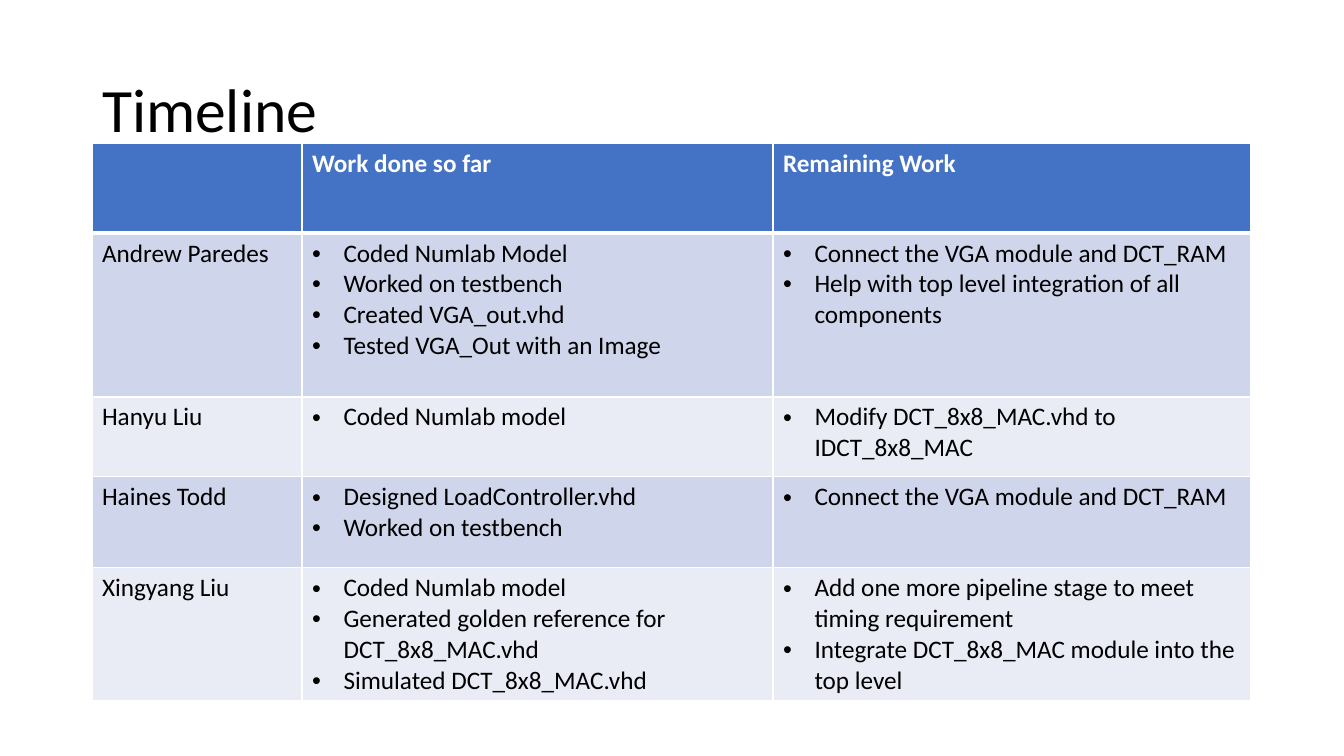
from lxml.etree import SubElement
from pptx import Presentation
from pptx.dml.color import RGBColor
from pptx.enum.text import MSO_ANCHOR, MSO_AUTO_SIZE, PP_ALIGN
from pptx.oxml.ns import qn
from pptx.util import Emu, Pt

PX = 914400 / 100.8
FONT = "Calibri"
COLORS = {
    "header": "4472C4",
    "odd_row": "CFD5EA",
    "even_row": "E9EBF5",
    "white": "FFFFFF",
    "black": "000000",
}
COLUMN_WIDTHS = [210, 471, 478]
ROW_HEIGHTS = [90, 164, 80, 91, 133]
BULLET_INDENT = round(31.5 * PX)

HEADERS = ["", "Work done so far", "Remaining Work"]
MEMBERS = [
    ("Andrew Paredes",
     ["Coded Numlab Model", "Worked on testbench", "Created VGA_out.vhd",
      "Tested VGA_Out with an Image"],
     ["Connect the VGA module and DCT_RAM",
      "Help with top level integration of all components"]),
    ("Hanyu Liu",
     ["Coded Numlab model"],
     ["Modify DCT_8x8_MAC.vhd to IDCT_8x8_MAC"]),
    ("Haines Todd",
     ["Designed LoadController.vhd", "Worked on testbench"],
     ["Connect the VGA module and DCT_RAM"]),
    ("Xingyang Liu",
     ["Coded Numlab model", "Generated golden reference for DCT_8x8_MAC.vhd",
      "Simulated DCT_8x8_MAC.vhd"],
     ["Add one more pipeline stage to meet timing requirement",
      "Integrate DCT_8x8_MAC module into the top level"]),
]


def add_text(paragraph, text, size, color, bold=False):
    run = paragraph.add_run()
    run.text = text
    run.font.name = FONT
    run.font.size = Pt(size)
    run.font.bold = bold
    run.font.color.rgb = RGBColor.from_string(COLORS[color])


def style_cell(cell, fill, top, bottom):
    """Fill a cell and give it white borders; top and bottom are widths in points."""
    properties = cell._tc.get_or_add_tcPr()
    for side, width in (("L", 1), ("R", 1), ("T", top), ("B", bottom)):
        line = SubElement(properties, qn(f"a:ln{side}"), w=str(Pt(width)))
        line_fill = SubElement(line, qn("a:solidFill"))
        SubElement(line_fill, qn("a:srgbClr"), val=COLORS["white"])
    cell.fill.solid()
    cell.fill.fore_color.rgb = RGBColor.from_string(COLORS[fill])


presentation = Presentation()
presentation.slide_width = Emu(round(1344 * PX))
presentation.slide_height = Emu(round(756 * PX))
slide = presentation.slides.add_slide(presentation.slide_layouts[5])

# Title
title = slide.shapes.title
title.left, title.top, title.width, title.height = (
    Emu(round(length * PX)) for length in (92, 40, 1159, 146))
title.text_frame.auto_size = MSO_AUTO_SIZE.NONE
title.text_frame.vertical_anchor = MSO_ANCHOR.MIDDLE
title_paragraph = title.text_frame.paragraphs[0]
title_paragraph.alignment = PP_ALIGN.LEFT
title_paragraph.line_spacing = 0.9
add_text(title_paragraph, "Timeline", 44, "black")

# Table
table_box = [92, 143, sum(COLUMN_WIDTHS), sum(ROW_HEIGHTS)]
table = slide.shapes.add_table(
    len(ROW_HEIGHTS), len(COLUMN_WIDTHS),
    *(Emu(round(length * PX)) for length in table_box)).table
for column, width in zip(table.columns, COLUMN_WIDTHS):
    column.width = Emu(round(width * PX))
for row, height in zip(table.rows, ROW_HEIGHTS):
    row.height = Emu(round(height * PX))

# Header row
for column_index, header in enumerate(HEADERS):
    cell = table.cell(0, column_index)
    style_cell(cell, "header", top=1, bottom=3)
    if header:
        add_text(cell.text_frame.paragraphs[0], header, 18, "white", bold=True)

# One row for each team member
for row_index, (name, *task_lists) in enumerate(MEMBERS, start=1):
    fill = "odd_row" if row_index % 2 else "even_row"
    top = 3 if row_index == 1 else 1
    name_cell = table.cell(row_index, 0)
    style_cell(name_cell, fill, top, bottom=1)
    add_text(name_cell.text_frame.paragraphs[0], name, 18, "black")
    for column_index, tasks in enumerate(task_lists, start=1):
        cell = table.cell(row_index, column_index)
        style_cell(cell, fill, top, bottom=1)
        text_frame = cell.text_frame
        for task_index, task in enumerate(tasks):
            paragraph = text_frame.add_paragraph() if task_index else text_frame.paragraphs[0]
            properties = paragraph._p.get_or_add_pPr()
            properties.set("marL", str(BULLET_INDENT))
            properties.set("indent", str(-BULLET_INDENT))
            SubElement(properties, qn("a:buFont"), typeface="Arial")
            SubElement(properties, qn("a:buChar"), char="•")
            add_text(paragraph, task, 18, "black")

presentation.save("out.pptx")
